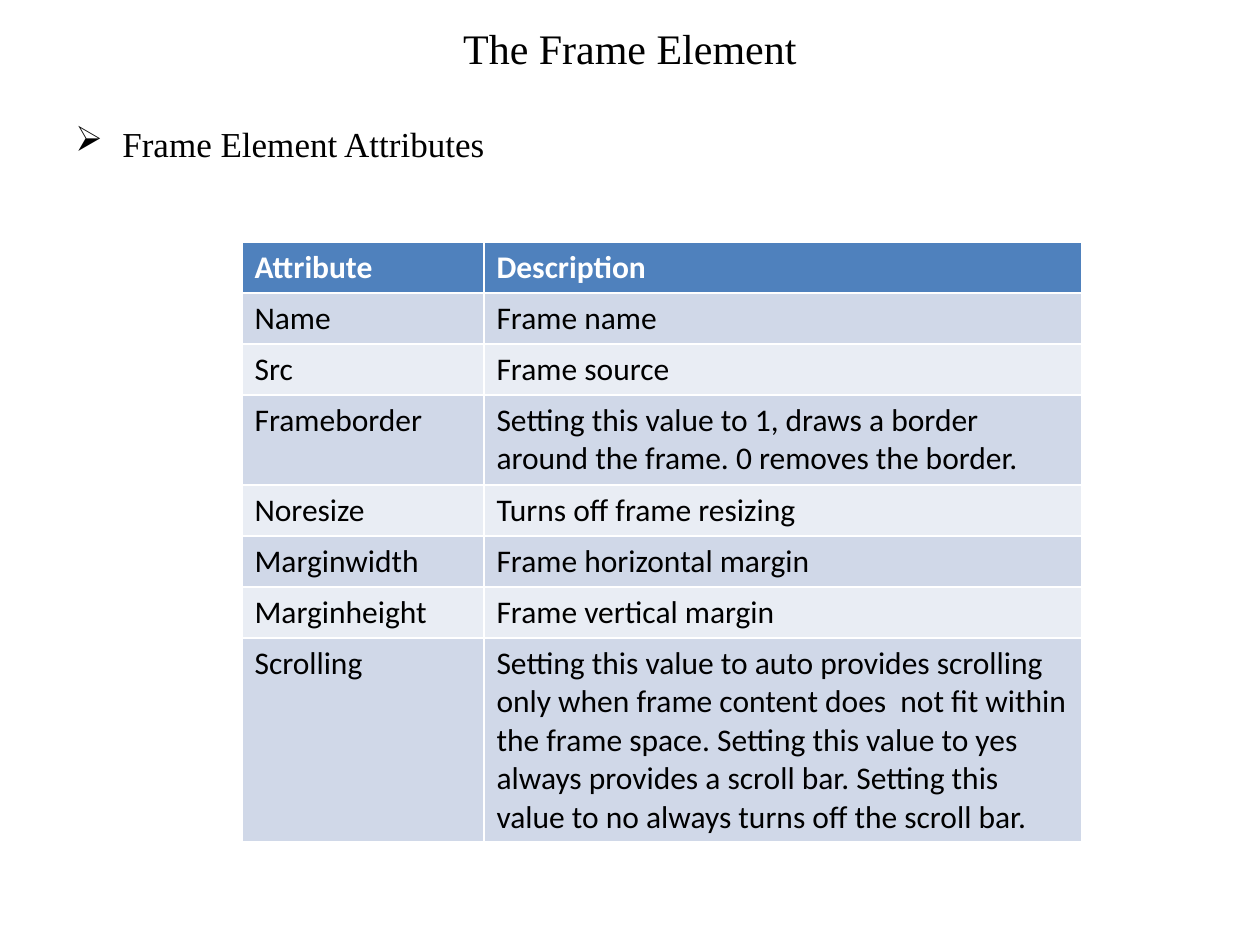
from lxml import etree
from pptx import Presentation
from pptx.dml.color import RGBColor
from pptx.enum.text import MSO_ANCHOR, PP_ALIGN
from pptx.oxml.ns import qn
from pptx.util import Emu, Pt

MIDDLE, TOP, CENTER, LEFT = MSO_ANCHOR.MIDDLE, MSO_ANCHOR.TOP, PP_ALIGN.CENTER, PP_ALIGN.LEFT
SCALE = 914400 // 126
BLACK, WHITE, BLUE = "000000", "FFFFFF", "4F81BD"
BANDS = ["D0D8E8", "E9EDF4"]


def px(n):
    return Emu(n * SCALE)


def style(para, name, size, color, bold=False):
    font = para.font
    font.name, font.size, font.bold = name, Pt(size), bold
    font.color.rgb = RGBColor.from_string(color)


deck = Presentation()
deck.slide_width, deck.slide_height = px(1260), px(945)
slide = deck.slides.add_slide(deck.slide_layouts[6])

# Title and bullet line
paras = []
for text, top, high, size, anchor, align in [
    ("The Frame Element", 0, 95, 24, MIDDLE, CENTER),
    ("Frame Element Attributes", 95, 819, 20, TOP, LEFT),
]:
    frame = slide.shapes.add_textbox(px(63), px(top), px(1134), px(high)).text_frame
    frame.word_wrap = True
    frame.vertical_anchor = anchor
    para = frame.paragraphs[0]
    para.text, para.alignment = text, align
    style(para, "Times New Roman", size, BLACK)
    paras.append(para)

# Arrow bullet with a hanging indent
bullet = paras[1]
bullet.line_spacing = 1.5
bullet.space_before = Pt(4)
props = bullet._p.get_or_add_pPr()
props.set("marL", str(px(47)))
props.set("indent", str(-px(47)))
mark = etree.Element(qn("a:buChar"), char="➢")
props.find(qn("a:spcBef")).addnext(mark)

# Attribute table
rows = [
    ("Attribute", "Description", 51),
    ("Name", "Frame name", 51),
    ("Src", "Frame source", 51),
    ("Frameborder", "Setting this value to 1, draws a border around the frame. "
     "0 removes the border.", 90),
    ("Noresize", "Turns off frame resizing", 51),
    ("Marginwidth", "Frame horizontal margin", 51),
    ("Marginheight", "Frame vertical margin", 51),
    ("Scrolling", "Setting this value to auto provides scrolling only when frame "
     "content does  not fit within the frame space. Setting this value to yes "
     "always provides a scroll bar. Setting this value to no always turns off "
     "the scroll bar.", 204),
]
table = slide.shapes.add_table(len(rows), 2, px(242), px(242), px(840), px(600)).table
for col, wide in zip(table.columns, (242, 598)):
    col.width = px(wide)
for r, (name, about, high) in enumerate(rows):
    table.rows[r].height = px(high)
    head = r == 0
    for c, text in enumerate((name, about)):
        cell = table.cell(r, c)
        cell.text = text
        cell.fill.solid()
        cell.fill.fore_color.rgb = RGBColor.from_string(BLUE if head else BANDS[(r - 1) % 2])
        style(cell.text_frame.paragraphs[0], "Calibri", 18, WHITE if head else BLACK, head)

deck.save("out.pptx")
